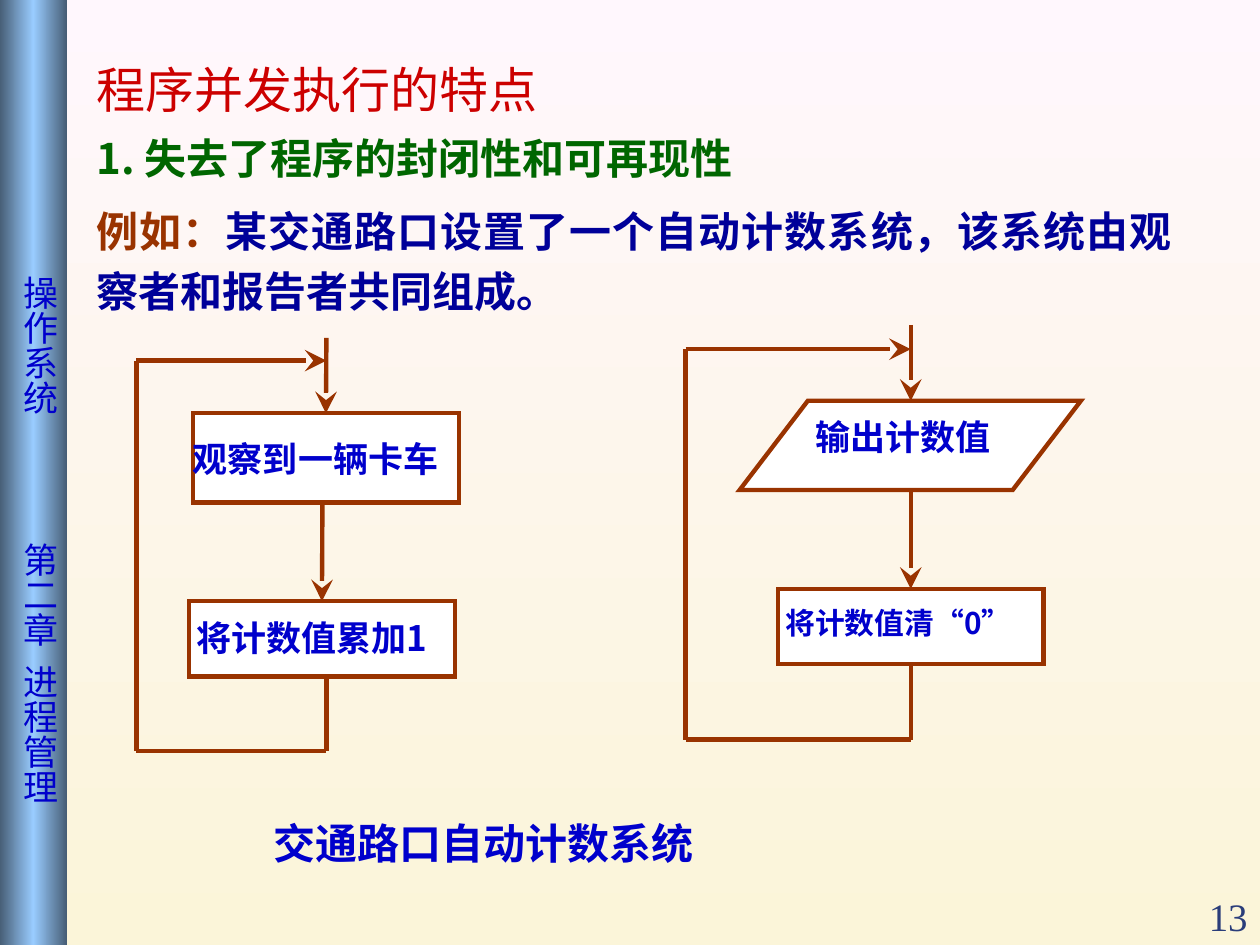
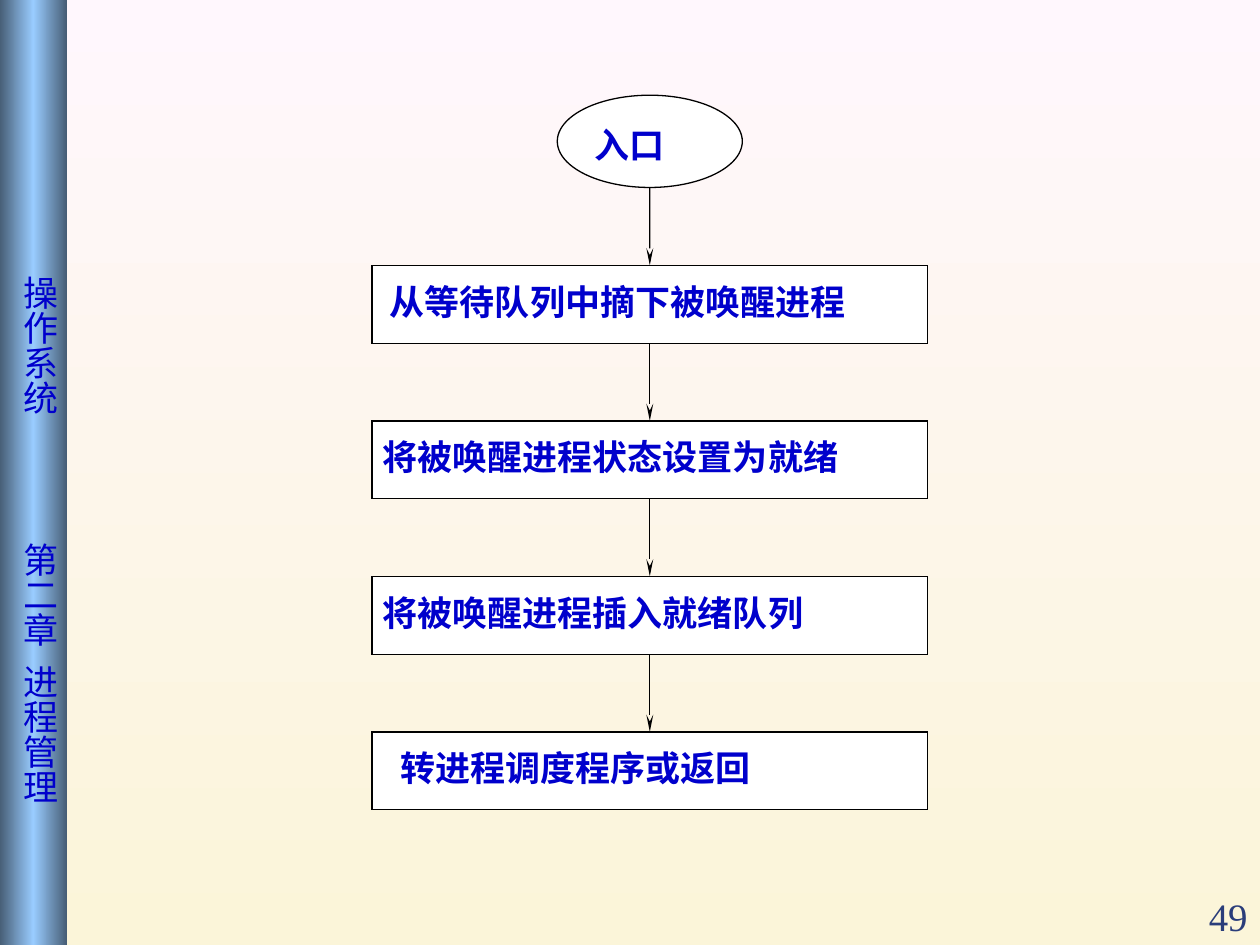
import dataclasses

import pptx
import pptx.dml.color
import pptx.enum.shapes
import pptx.enum.text
import pptx.oxml
import pptx.oxml.ns
import pptx.util

Cm, Pt = pptx.util.Cm, pptx.util.Pt
qn = pptx.oxml.ns.qn
SHAPE = pptx.enum.shapes.MSO_SHAPE
ALIGN = pptx.enum.text.PP_ALIGN
ANCHOR = pptx.enum.text.MSO_ANCHOR


@dataclasses.dataclass(frozen=True)
class Theme:
    sans: str = "Noto Sans CJK SC"
    serif: str = "Times New Roman"
    background: tuple = ("FFF7FD", "FBF5D9")
    band: tuple = ("475E76", "99CCFF", "475E76")
    label: str = "0000CC"
    title: str = "CC0000"
    heading: str = "006600"
    brown: str = "993300"
    body: str = "000099"
    number: str = "2A3D7A"
    black: str = "000000"
    white: str = "FFFFFF"
    title_size: float = 28
    body_size: float = 24
    number_size: float = 22.2
    label_size: float = 20
    small_size: float = 17
    thick: float = 2.5
    thin: float = 0.75
    wide_head: tuple = ("lg", "lg")
    narrow_head: tuple = ("sm", "lg")


THEME = Theme()

# Lengths are centimetres; boxes are left, top, width, height.
SLIDE_SIZE = (25.4, 19.05)
BAND_WIDTH = 1.35
BAND_WORDS = (("操作系统", 5.31), ("第二章", 10.69), ("进程管理", 13.15))
NUMBER_BOX = (22.86, 17.81, 2.54, 1.27)
TEXT_INSETS = (0.25, 0.13, 0.25, 0.13)

TITLE = "程序并发执行的特点"
HEADING = "1. 失去了程序的封闭性和可再现性"
EXAMPLE = ("例如：", "某交通路口设置了一个自动计数系统，该系统由观察者和报告者共同组成。")
CAPTION = "交通路口自动计数系统"

COUNTING_LOOPS = (
    dict(
        steps=(
            dict(kind=SHAPE.FLOWCHART_PROCESS, box=(3.89, 8.33, 5.36, 1.8),
                 words=["观察到一辆卡车"], insets=(0, 0.49, 0, 0)),
            dict(kind=SHAPE.FLOWCHART_PROCESS, box=(3.81, 12.12, 5.36, 1.52),
                 words=["将计数值累加1"], insets=(0.15, 0.3, 0.15, 0.03)),
        ),
        axis=6.58, step_x=6.5, return_x=2.75, entry=6.81, merge=7.27, bottom=15.14,
    ),
    dict(
        steps=(
            dict(kind=SHAPE.FLOWCHART_DATA, box=(14.91, 8.08, 6.88, 1.8),
                 words=["输出计数值"], insets=(0.15, 0.39, 0.15, 0), spacing=0.9),
            dict(kind=SHAPE.FLOWCHART_PROCESS, box=(15.68, 11.87, 5.36, 1.52),
                 words=["将计数值清", ("“", THEME.serif), "0", ("”", THEME.serif)],
                 insets=(0.15, 0.41, 0.15, 0.03), spacing=0.9, size=THEME.small_size),
        ),
        axis=18.36, step_x=18.36, return_x=13.82, entry=6.55, merge=7.04, bottom=14.91,
    ),
)

ENTRANCE = ("入口", 0.21)
WAKEUP_STEPS = (
    ("从等待队列中摘下被唤醒进程", 0.36),
    ("将被唤醒进程状态设置为就绪", 0.21),
    ("将被唤醒进程插入就绪队列", 0.21),
    ("转进程调度程序或返回", 0.57),
)
WAKEUP_AXIS = 13.1
WAKEUP_TOP, WAKEUP_PITCH = 5.35, 3.135
WAKEUP_STEP_SIZE = (11.2, 1.57)
ENTRANCE_TOP, ENTRANCE_SIZE = 1.92, (3.73, 1.86)


def rgb(value):
    return pptx.dml.color.RGBColor.from_string(value)


def set_typeface(font, name):
    """Use the named typeface for Latin and the sans one for East Asian characters."""
    font.name = name
    east_asian = font._element.makeelement(qn("a:ea"), {"typeface": THEME.sans})
    font._element.find(qn("a:latin")).addnext(east_asian)


def fill_gradient(owner, fill, angle, colours):
    """Spread the colours evenly; owner is the element that holds the fill."""
    fill.gradient()
    fill.gradient_angle = angle
    stops = owner.find(".//" + qn("a:gsLst"))
    for stop in list(stops):
        stops.remove(stop)
    for index, colour in enumerate(colours):
        position = str(100000 * index // (len(colours) - 1))
        stop = pptx.oxml.parse_xml(
            f'<a:gs {pptx.oxml.ns.nsdecls("a")} pos="{position}"><a:srgbClr val="{colour}"/></a:gs>')
        stops.append(stop)


def set_frame(shape, insets, anchor=ANCHOR.TOP):
    frame = shape.text_frame
    frame.word_wrap = True
    frame.vertical_anchor = anchor
    frame.margin_left, frame.margin_top, frame.margin_right, frame.margin_bottom = map(Cm, insets)
    return frame.paragraphs[0]


def set_font(paragraph, size, colour, bold=False, name=THEME.sans):
    paragraph.font.size = Pt(size)
    paragraph.font.bold = bold
    paragraph.font.color.rgb = rgb(colour)
    set_typeface(paragraph.font, name)


def set_line(shape, line):
    """Style the outline with mitred corners and return its element."""
    colour, width = line
    shape.line.color.rgb = rgb(colour)
    shape.line.width = Pt(width)
    outline = shape._element.spPr.find(qn("a:ln"))
    outline.append(outline.makeelement(qn("a:miter"), {"lim": "800000"}))
    return outline


def add_text(slide, box, words, size, colour, bold=False, name=THEME.sans,
             insets=TEXT_INSETS, align=ALIGN.LEFT, spacing=1.0, anchor=ANCHOR.TOP):
    paragraph = set_frame(slide.shapes.add_textbox(*map(Cm, box)), insets, anchor)
    paragraph.alignment = align
    paragraph.line_spacing = spacing
    set_font(paragraph, size, colour, bold, name)
    for part in words:
        paragraph.add_run().text = part
    return paragraph


def add_step(slide, kind, box, words, insets, line, spacing=1.0, size=THEME.label_size):
    """Add a flowchart symbol; words are strings or (string, typeface) pairs."""
    step = slide.shapes.add_shape(kind, *map(Cm, box))
    step.shadow.inherit = False
    step.fill.solid()
    step.fill.fore_color.rgb = rgb(THEME.white)
    set_line(step, line)
    paragraph = set_frame(step, insets)
    paragraph.alignment = ALIGN.JUSTIFY
    paragraph.line_spacing = spacing
    set_font(paragraph, size, THEME.label, bold=True)
    for part in words:
        run = paragraph.add_run()
        if isinstance(part, tuple):
            run.text, typeface = part
            set_typeface(run.font, typeface)
        else:
            run.text = part
    return step


def add_line(slide, start, end, line, head=None, steps=()):
    """Draw a line and join it to any rectangular step whose top or bottom middle it meets."""
    link = slide.shapes.add_connector(
        pptx.enum.shapes.MSO_CONNECTOR.STRAIGHT, *map(Cm, start + end))
    outline = set_line(link, line)
    if head:
        width, length = head
        outline.append(outline.makeelement(
            qn("a:tailEnd"), {"type": "stealth", "w": width, "len": length}))
    properties = link._element.spPr
    properties.append(properties.makeelement(qn("a:effectLst"), {}))
    for step in steps:
        if step.auto_shape_type not in (SHAPE.RECTANGLE, SHAPE.FLOWCHART_PROCESS):
            continue
        middle = step.left + step.width // 2
        for site, level in ((0, step.top), (2, step.top + step.height)):
            for (x, y), join in ((start, link.begin_connect), (end, link.end_connect)):
                if max(abs(Cm(x) - middle), abs(Cm(y) - level)) < Cm(0.04):
                    join(step, site)


def add_page(deck, number):
    """Add a slide with the shared background, side band and page number."""
    slide = deck.slides.add_slide(deck.slide_layouts[6])
    fill_gradient(slide._element, slide.background.fill, 270, THEME.background)

    band = slide.shapes.add_shape(SHAPE.RECTANGLE, 0, 0, Cm(BAND_WIDTH), Cm(SLIDE_SIZE[1]))
    band.shadow.inherit = False
    band.line.fill.background()
    fill_gradient(band._element, band.fill, 0, THEME.band)
    paragraph = set_frame(band, (0.13, 0.25, 0.13, 0.25))
    band.text_frame._txBody.bodyPr.set("vert", "eaVert")
    paragraph.alignment = ALIGN.LEFT
    properties = paragraph._p.get_or_add_pPr()
    tabs = properties.makeelement(qn("a:tabLst"), {})
    properties.append(tabs)
    for _, position in BAND_WORDS:
        tabs.append(tabs.makeelement(qn("a:tab"), {"pos": str(Cm(position)), "algn": "l"}))
    set_font(paragraph, THEME.label_size, THEME.label)
    paragraph.add_run().text = "".join("\t" + word for word, _ in BAND_WORDS)

    add_text(slide, NUMBER_BOX, [number], THEME.number_size, THEME.number, name=THEME.serif,
             align=ALIGN.RIGHT, spacing=0.9, anchor=ANCHOR.BOTTOM)
    return slide


def add_counting_loop(slide, loop):
    line, head = (THEME.brown, THEME.thick), THEME.wide_head
    steps = [add_step(slide, line=line, **step) for step in loop["steps"]]
    (_, first_top, _, first_height), (_, last_top, _, last_height) = (
        step["box"] for step in loop["steps"])
    axis, step_x, back = loop["axis"], loop["step_x"], loop["return_x"]
    merge, bottom = loop["merge"], loop["bottom"]
    for start, end, tip in (
        ((axis, last_top + last_height), (axis, bottom), None),
        ((back, bottom), (axis, bottom), None),
        ((back, bottom), (back, merge), None),
        ((back, merge), (axis, merge), head),
        ((axis, loop["entry"]), (axis, first_top), head),
        ((step_x, first_top + first_height), (step_x, last_top), head),
    ):
        add_line(slide, start, end, line, tip, steps)


def add_counting_slide(deck):
    slide = add_page(deck, "13")
    add_text(slide, (1.7, 1.07, 12, 1.45), [TITLE], THEME.title_size, THEME.title)
    add_text(slide, (1.7, 2.34, 18.85, 1.47), [HEADING], THEME.body_size, THEME.heading,
             bold=True, spacing=1.2)
    example = add_text(slide, (1.7, 3.81, 22.17, 2.69), EXAMPLE, THEME.body_size, THEME.body,
                       bold=True, name=THEME.serif, align=ALIGN.JUSTIFY, spacing=1.2)
    example.runs[0].font.color.rgb = rgb(THEME.brown)
    for loop in COUNTING_LOOPS:
        add_counting_loop(slide, loop)
    add_text(slide, (5.18, 16.48, 9.8, 1.14), [CAPTION], THEME.body_size, THEME.label,
             bold=True, insets=(0.33, 0, 0.25, 0.13))


def add_wakeup_slide(deck):
    slide = add_page(deck, "49")
    line = (THEME.black, THEME.thin)
    width, height = WAKEUP_STEP_SIZE
    tops = [WAKEUP_TOP + WAKEUP_PITCH * index for index in range(len(WAKEUP_STEPS))]
    steps = [
        add_step(slide, SHAPE.RECTANGLE, (WAKEUP_AXIS - width / 2, top, width, height),
                 [words], (indent, 0.3, 0.05, 0), line)
        for (words, indent), top in zip(WAKEUP_STEPS, tops)
    ]
    words, indent = ENTRANCE
    entrance_width, entrance_height = ENTRANCE_SIZE
    add_step(slide, SHAPE.OVAL,
             (WAKEUP_AXIS - entrance_width / 2, ENTRANCE_TOP, entrance_width, entrance_height),
             [words], (indent, 0.3, 0.05, 0), line)
    bottoms = [ENTRANCE_TOP + entrance_height] + [top + height for top in tops]
    for bottom, top in zip(bottoms, tops):
        add_line(slide, (WAKEUP_AXIS, bottom), (WAKEUP_AXIS, top), line,
                 THEME.narrow_head, steps)


def main():
    deck = pptx.Presentation()
    deck.slide_width, deck.slide_height = map(Cm, SLIDE_SIZE)
    add_counting_slide(deck)
    add_wakeup_slide(deck)
    deck.save("out.pptx")


if __name__ == "__main__":
    main()
